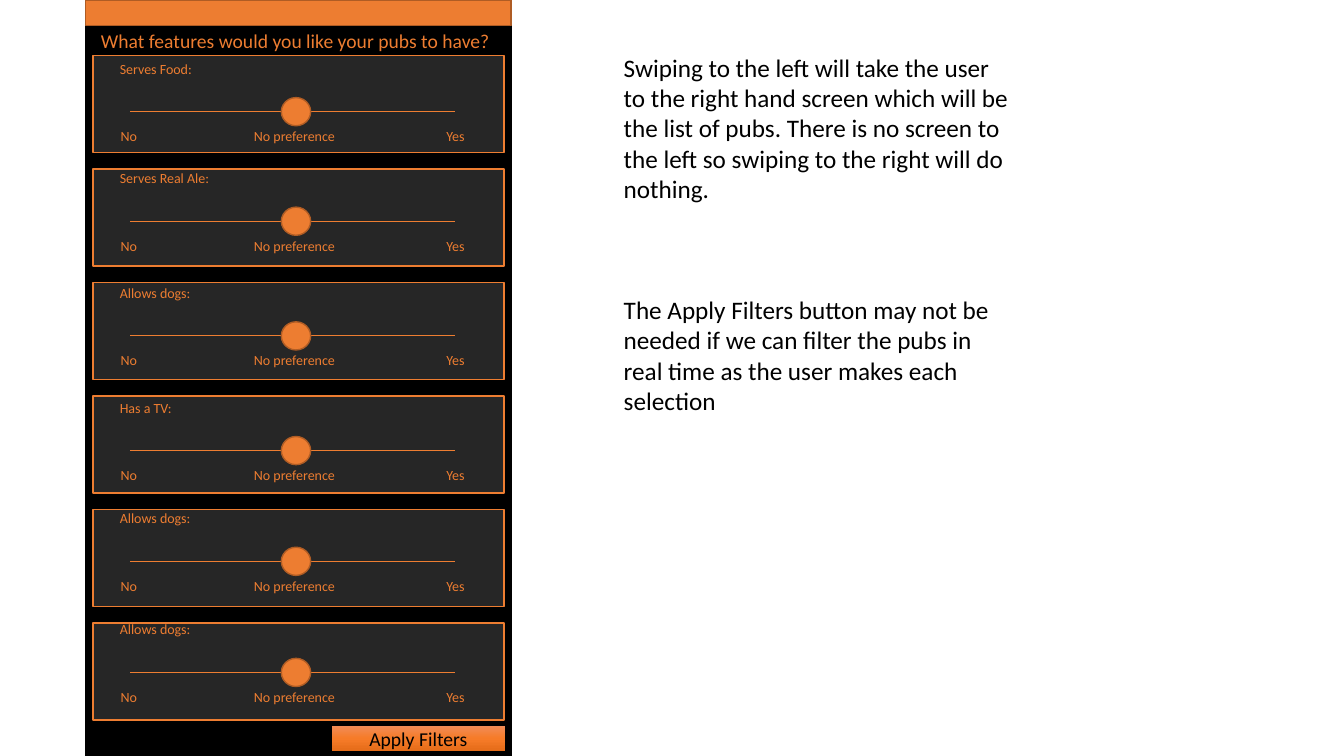
"""Build the pub filter screen mock-up with its notes on behaviour."""
from copy import deepcopy

from lxml.etree import SubElement
from pptx import Presentation
from pptx.dml.color import RGBColor
from pptx.enum.shapes import MSO_CONNECTOR, MSO_SHAPE
from pptx.enum.text import MSO_ANCHOR, MSO_AUTO_SIZE, PP_ALIGN
from pptx.oxml.ns import qn
from pptx.util import Cm, Pt

ORANGE = RGBColor(0xED, 0x7D, 0x31)
DARK_ORANGE = RGBColor(0xAF, 0x5C, 0x24)
CHARCOAL = RGBColor(0x26, 0x26, 0x26)
BLACK = RGBColor(0, 0, 0)
BUTTON_STOPS = [
    (0, RGBColor(0xF1, 0x8C, 0x57)),
    (0.5, RGBColor(0xF6, 0x7B, 0x28)),
    (1, RGBColor(0xE5, 0x6C, 0x19)),
]

QUESTION = "What features would you like your pubs to have?"
FILTERS = [
    ("Serves Food:", 2.81),
    ("Serves Real Ale:", 5.57),
    ("Allows dogs:", 8.46),
    ("Has a TV:", 11.35),
    ("Allows dogs:", 14.14),
    ("Allows dogs:", 16.94),
]
CAPTIONS = [("Yes", 11, 1.32), ("No", 2.79, 1.32), ("No preference", 6.15, 3.28)]
NOTES = [
    "Swiping to the left will take the user to the right hand screen which will "
    "be the list of pubs. There is no screen to the left so swiping to the right "
    "will do nothing.",
    "The Apply Filters button may not be needed if we can filter the pubs in real "
    "time as the user makes each selection",
]
CARD_TOP, CARD_STEP = 1.4, 2.86


def set_attributes(target, values):
    for name, value in values.items():
        setattr(target, name, value)


def write_paragraph(paragraph, text, size, color, **layout):
    paragraph.text = text
    set_attributes(paragraph, layout)
    font = paragraph.runs[0].font
    set_attributes(font, {"name": "Calibri", "size": Pt(size)})
    font.color.rgb = color


def add_block(slide, kind, left, top, width, height, fill, line):
    shape = slide.shapes.add_shape(kind, Cm(left), Cm(top), Cm(width), Cm(height))
    shape.shadow.inherit = False
    shape.fill.solid()
    shape.fill.fore_color.rgb = fill
    shape.line.color.rgb = line
    shape.line.width = Pt(1)
    return shape


def add_text(slide, texts, left, top, width, height, size, color, gap=0):
    box = slide.shapes.add_textbox(Cm(left), Cm(top), Cm(width), Cm(height))
    frame = box.text_frame
    frame.word_wrap = True
    for index, text in enumerate(texts):
        paragraph = frame.add_paragraph() if index else frame.paragraphs[0]
        write_paragraph(paragraph, text, size, color, space_before=Pt(gap * index))


def place_title(slide):
    title = slide.shapes.title
    set_attributes(title, {"left": Cm(2.29), "top": Cm(0.61),
                           "width": Cm(10.87), "height": Cm(0.86)})
    set_attributes(title.text_frame, {
        "word_wrap": True, "auto_size": MSO_AUTO_SIZE.NONE,
        "vertical_anchor": MSO_ANCHOR.TOP})
    write_paragraph(title.text_frame.paragraphs[0], QUESTION, 14, ORANGE,
                    alignment=PP_ALIGN.LEFT)
    title.element.getparent().append(title.element)


def add_slider(slide, label, track):
    line = slide.shapes.add_connector(
        MSO_CONNECTOR.STRAIGHT, Cm(3.28), Cm(track), Cm(11.46), Cm(track))
    line.line.color.rgb = ORANGE
    line.line.width = Pt(0.5)
    SubElement(line.element.spPr, qn("a:effectLst"))
    add_block(slide, MSO_SHAPE.OVAL, 7.09, track - 0.35, 0.74, 0.71,
              ORANGE, DARK_ORANGE)
    add_text(slide, [label], 2.77, track - 1.42, 3.61, 0.69, 10, ORANGE)
    for caption, left, width in CAPTIONS:
        add_text(slide, [caption], left, track + 0.28, width, 0.69, 10, ORANGE)


def add_button(slide):
    button = add_block(slide, MSO_SHAPE.RECTANGLE, 8.36, 18.29, 4.37, 0.64,
                       ORANGE, ORANGE)
    button.line.fill.background()
    button.fill.gradient()
    button.fill.gradient_angle = 270
    properties = button.element.spPr
    stop_list = properties.find(".//" + qn("a:gsLst"))
    stop_list.append(deepcopy(stop_list[-1]))
    for stop, (position, color) in zip(button.fill.gradient_stops, BUTTON_STOPS):
        stop.position = position
        stop.color.rgb = color
    shadow = SubElement(
        properties.find(qn("a:effectLst")), qn("a:outerShdw"),
        blurRad=str(Pt(4.5)), dist=str(Pt(1.5)), dir="5400000", rotWithShape="0")
    shade = SubElement(shadow, qn("a:srgbClr"), val=str(BLACK))
    SubElement(shade, qn("a:alpha"), val="63000")
    button.text_frame.vertical_anchor = MSO_ANCHOR.MIDDLE
    write_paragraph(button.text_frame.paragraphs[0], "Apply Filters", 14, BLACK,
                    alignment=PP_ALIGN.CENTER)


def main():
    presentation = Presentation()
    set_attributes(presentation, {"slide_width": Cm(33.87), "slide_height": Cm(19.05)})
    slide = presentation.slides.add_slide(presentation.slide_layouts[5])
    add_block(slide, MSO_SHAPE.RECTANGLE, 2.16, 0, 10.72, 19.05, BLACK, BLACK)
    for row in range(len(FILTERS)):
        add_block(slide, MSO_SHAPE.RECTANGLE, 2.34, CARD_TOP + row * CARD_STEP,
                  10.36, 2.44, CHARCOAL, ORANGE)
    add_block(slide, MSO_SHAPE.RECTANGLE, 2.16, 0, 10.72, 0.64, ORANGE, DARK_ORANGE)
    place_title(slide)
    for label, track in FILTERS:
        add_slider(slide, label, track)
    add_button(slide)
    add_text(slide, NOTES, 15.47, 1.19, 10.36, 9.5, 18, BLACK, gap=65)
    presentation.save("out.pptx")


if __name__ == "__main__":
    main()
